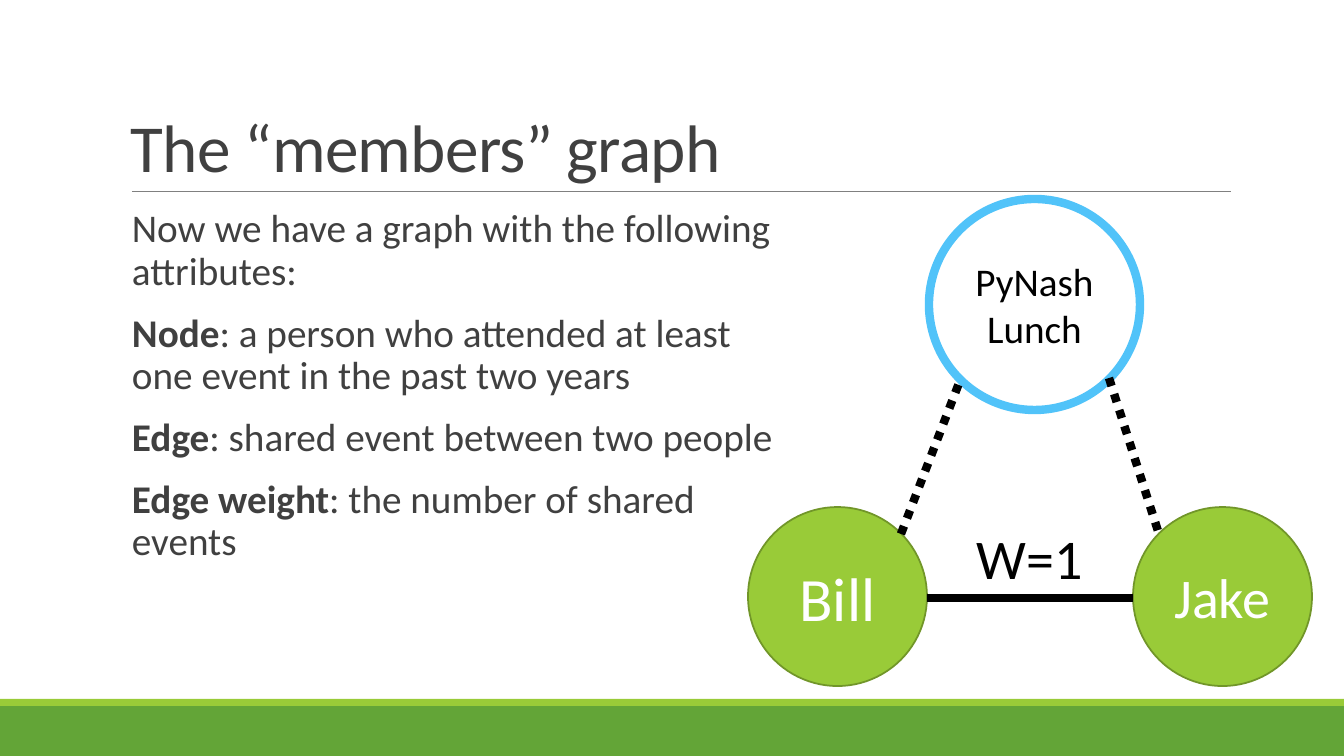
from pptx import Presentation, util as u
from pptx.dml.color import RGBColor
from pptx.enum import dml, shapes, text

GREEN = RGBColor(0x63, 0xA5, 0x37)
LIME = RGBColor(0x99, 0xCB, 0x38)
OLIVE = RGBColor(0x71, 0x96, 0x29)
SKY = RGBColor(0x51, 0xC3, 0xF9)
GREY = RGBColor(0x80, 0x80, 0x80)
DARK = RGBColor(0x40, 0x40, 0x40)
BLACK = RGBColor(0, 0, 0)
WHITE = RGBColor(255, 255, 255)

TITLE = "The “members” graph"
BODY = [  # bold term, rest of the paragraph
    ("", "Now we have a graph with the following attributes:"),
    ("Node", ": a person who attended at least one event in the past two years"),
    ("Edge", ": shared event between two people"),
    ("Edge weight", ": the number of shared events"),
]
BANDS = [((0, 706, 1344, 50), GREEN), ((0, 699, 1344, 7), LIME)]
NODES = [  # label, left, top, diameter, fill, line, line width, size, font colour
    ("Bill", 748, 507, 179, LIME, OLIVE, 1.25, 44, WHITE),
    ("Jake", 1133, 507, 179, LIME, OLIVE, 1.25, 40, WHITE),
    ("PyNash Lunch", 929, 199, 211, WHITE, SKY, 6, 28, BLACK),
]
LINES = [  # from x, y, to x, y, colour, width, dotted
    (132, 191, 1231, 191, GREY, 0.5, False),
    (927, 598, 1133, 598, BLACK, 6, False),
    (901, 534, 961, 378, BLACK, 6, True),
    (1109, 378, 1159, 534, BLACK, 6, True),
]
EDGE_LABEL = "W=1"

PX = 914400 / 100.8


def px(*lengths):
    return [round(n * PX) for n in lengths]


def add_run(p, words, size, color, bold=False):
    r = p.add_run()
    r.text = words
    values = {"name": "Calibri", "size": u.Pt(size), "bold": bold}
    for name, value in values.items():
        setattr(r.font, name, value)
    r.font.color.rgb = color
    return r


def add_box(slide, box, **frame):
    tf = slide.shapes.add_textbox(*px(*box)).text_frame
    for name, value in {"word_wrap": True, **frame}.items():
        setattr(tf, name, value)
    return tf


def add_solid(slide, kind, box, fill):
    sp = slide.shapes.add_shape(kind, *px(*box))
    sp.shadow.inherit = False
    sp.fill.solid()
    sp.fill.fore_color.rgb = fill
    return sp


def add_node(slide, label, left, top, side, fill, line, width, size, color):
    sp = add_solid(slide, shapes.MSO_SHAPE.OVAL, (left, top, side, side), fill)
    sp.line.color.rgb = line
    sp.line.width = u.Pt(width)
    tf = sp.text_frame
    tf.word_wrap = True
    tf.vertical_anchor = text.MSO_ANCHOR.MIDDLE
    p = tf.paragraphs[0]
    p.alignment = text.PP_ALIGN.CENTER
    add_run(p, label, size, color)


def add_line(slide, x1, y1, x2, y2, color, width, dotted):
    c = slide.shapes.add_connector(shapes.MSO_CONNECTOR.STRAIGHT, *px(x1, y1, x2, y2))
    c.line.color.rgb = color
    c.line.width = u.Pt(width)
    if dotted:
        c.line.dash_style = dml.MSO_LINE.ROUND_DOT
    spPr = c._element.spPr
    spPr.append(spPr.makeelement(
        "{http://schemas.openxmlformats.org/drawingml/2006/main}effectLst", {}))


def main():
    prs = Presentation()
    prs.slide_width, prs.slide_height = px(1344, 756)
    slide = prs.slides.add_slide(prs.slide_layouts[6])

    for box, fill in BANDS:
        add_solid(slide, shapes.MSO_SHAPE.RECTANGLE, box, fill).line.fill.background()

    tf = add_box(slide, (121, 31, 1109, 160), vertical_anchor=text.MSO_ANCHOR.BOTTOM)
    p = tf.paragraphs[0]
    p.line_spacing = 0.85
    r = add_run(p, TITLE, 48, DARK)
    r.font._element.set("spc", "-50")

    tf = add_box(slide, (132, 204, 662, 444), margin_left=0, margin_right=0)
    for i, (term, rest) in enumerate(BODY):
        p = tf.add_paragraph() if i else tf.paragraphs[0]
        p.line_spacing = 0.9
        p.space_before = u.Pt(12 if i else 0)
        p.space_after = u.Pt(2)
        if term:
            add_run(p, term, 28, DARK, bold=True)
        add_run(p, rest, 28, DARK)

    for node in NODES:
        add_node(slide, *node)
    for line in LINES:
        add_line(slide, *line)
    tf = add_box(slide, (967, 519, 151, 78))
    add_run(tf.paragraphs[0], EDGE_LABEL, 40, BLACK)

    prs.save("out.pptx")


if __name__ == "__main__":
    main()
